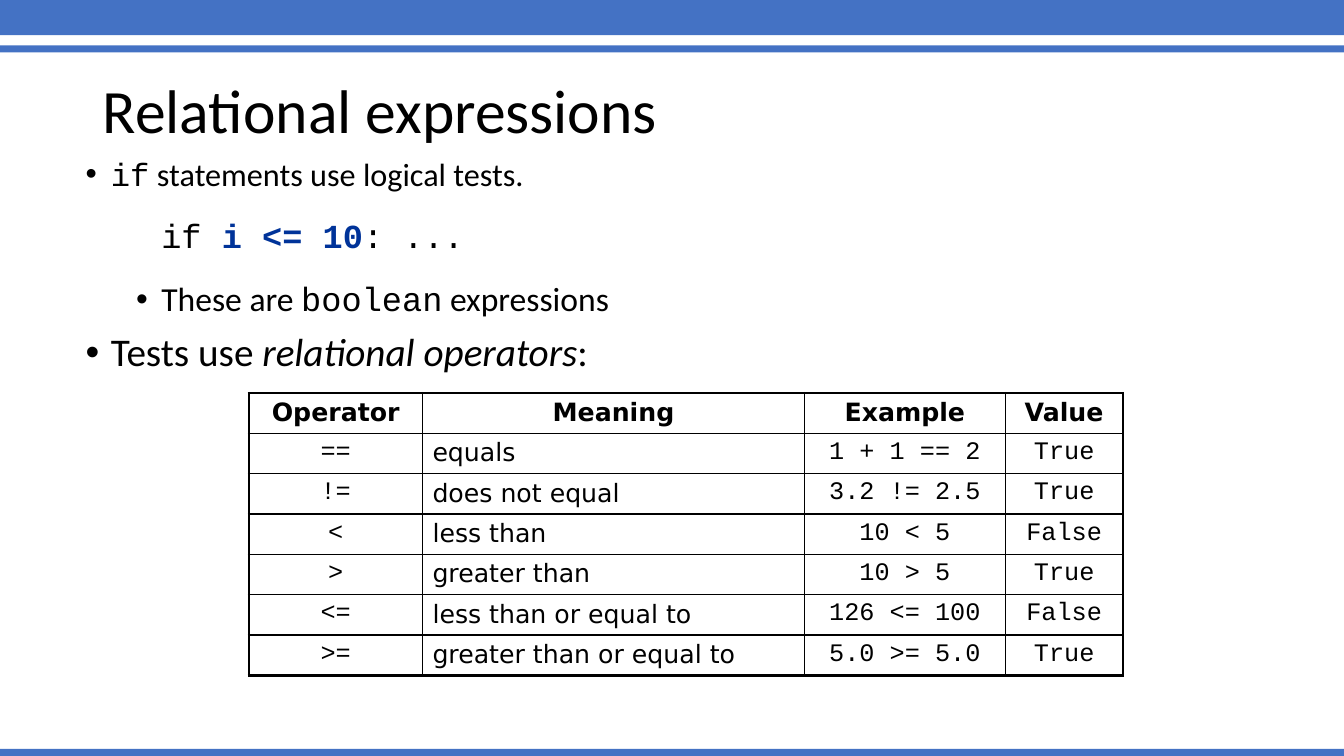
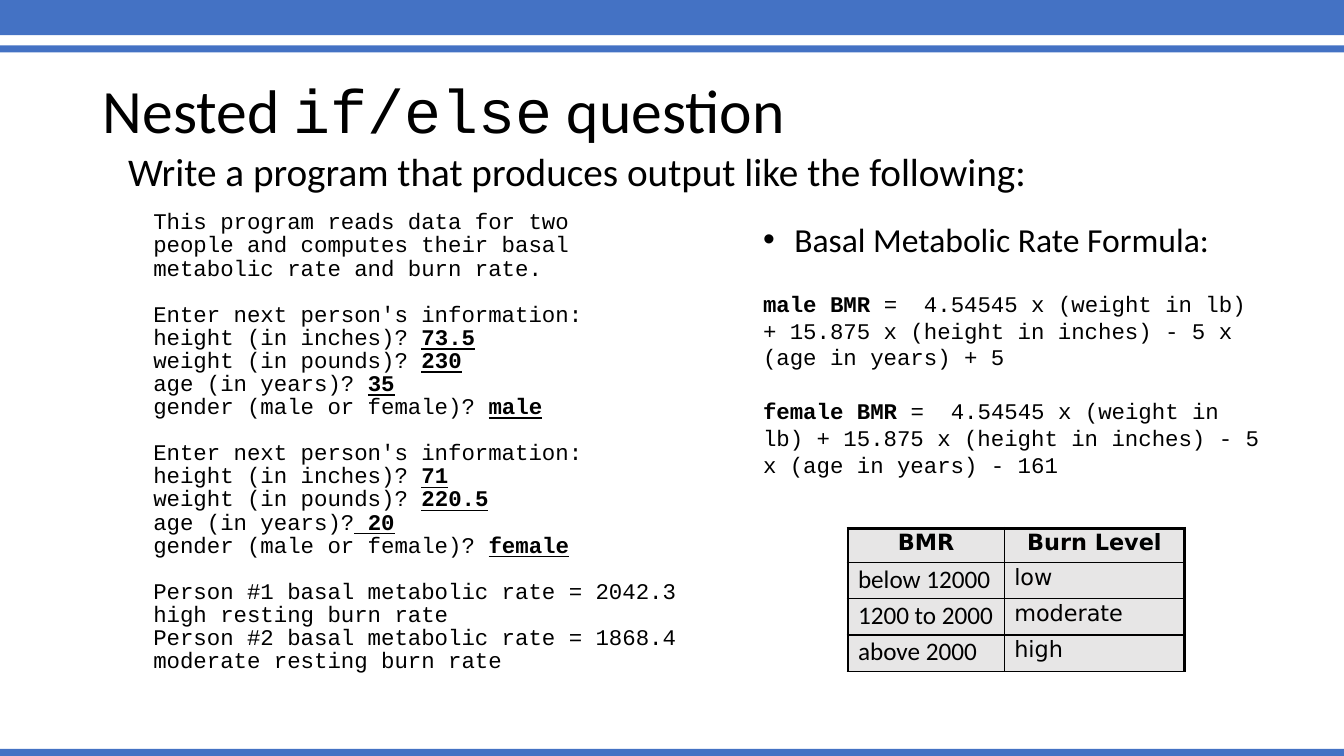
from dataclasses import dataclass

from lxml import etree
from pptx import Presentation
from pptx.dml.color import RGBColor
from pptx.enum.shapes import MSO_SHAPE
from pptx.enum.text import MSO_ANCHOR, MSO_AUTO_SIZE, PP_ALIGN
from pptx.oxml.ns import qn
from pptx.util import Emu, Inches, Pt

RECTANGLE = MSO_SHAPE.RECTANGLE
LEFT, CENTER = PP_ALIGN.LEFT, PP_ALIGN.CENTER
TOP, MIDDLE = MSO_ANCHOR.TOP, MSO_ANCHOR.MIDDLE
NO_AUTOFIT = MSO_AUTO_SIZE.NONE


@dataclass(frozen=True)
class Theme:
    band: str = "4472C4"
    ink: str = "000000"
    accent: str = "003399"
    shade: str = "E7E6E6"
    text: str = "Calibri"
    mono: str = "Courier New"
    grid: str = "DejaVu Sans"
    title: int = 44
    lead: int = 28
    body: int = 24
    intro: int = 23
    cell: int = 18
    code: int = 16
    thick: float = 2.25
    thin: float = 1


THEME = Theme()

# Content: a span is (text, flags); m mono, b bold, i italic, u underlined, a accent
TITLES = [
    [("Relational expressions", "")],
    [("Nested ", ""), ("if/else", "m"), (" question", "")],
]
TESTS_INTRO = [("if", "m"), (" statements use logical tests.", "")]
TESTS_CODE = [("if ", "m"), ("i <= 10", "mba"), (": ...", "m")]
TESTS_NOTE = [("These are ", ""), ("boolean", "m"), (" expressions", "")]
TESTS_LEAD = [("Tests use ", ""), ("relational operators", "i"), (":", "")]

OPERATORS = [
    ("Operator", "Meaning", "Example", "Value"),
    ("==", "equals", "1 + 1 == 2", "True"),
    ("!=", "does not equal", "3.2 != 2.5", "True"),
    ("<", "less than", "10 < 5", "False"),
    (">", "greater than", "10 > 5", "True"),
    ("<=", "less than or equal to", "126 <= 100", "False"),
    (">=", "greater than or equal to", "5.0 >= 5.0", "True"),
]

TASK = "Write a program that produces output like the following:"
PROMPTS = ("height (in inches)? ", "weight (in pounds)? ", "age (in years)? ",
           "gender (male or female)? ")
PERSON = "Enter next person's information:"
# Each block of program output holds (printed text, typed answer) lines
OUTPUT = [
    [("This program reads data for two", ""),
     ("people and computes their basal", ""),
     ("metabolic rate and burn rate.", "")],
    [(PERSON, ""), *zip(PROMPTS, ("73.5", "230", "35", "male"))],
    [(PERSON, ""), *zip(PROMPTS[:2], ("71", "220.5")),
     ("age (in years)?", " 20"), (PROMPTS[3], "female")],
    [("Person #1 basal metabolic rate = 2042.3", ""),
     ("high resting burn rate", ""),
     ("Person #2 basal metabolic rate = 1868.4", ""),
     ("moderate resting burn rate", "")],
]

FORMULA_HEAD = "Basal Metabolic Rate Formula:"
FORMULA = ("= \u00a04.54545 x (weight in lb) + 15.875 x (height in inches)"
           " - 5 x (age in years) ")
FORMULAS = [
    [("male BMR ", "mb"), (FORMULA + "+ 5", "m")],
    [("female BMR", "mb"), (" " + FORMULA + "- 161", "m")],
]
BURN_LEVELS = [
    ("BMR", "Burn Level"),
    ("below 12000", "low"),
    ("1200 to 2000", "moderate"),
    ("above 2000", "high"),
]

# Column styles: width, font, size, alignment
OPERATOR_COLUMNS = [
    (1.72, THEME.mono, THEME.cell, CENTER),
    (3.79, THEME.grid, THEME.cell, LEFT),
    (1.99, THEME.mono, THEME.cell, CENTER),
    (1.17, THEME.mono, THEME.cell, CENTER),
]
BURN_COLUMNS = [
    (1.55, THEME.text, THEME.cell, LEFT),
    (1.79, THEME.grid, THEME.code, LEFT),
]

# Shared geometry
WIDTH, HEIGHT = 13.33, 7.5
BANDS = [(0, 0.35), (0.45, 0.07), (HEIGHT - 0.07, 0.07)]
TITLE_BOX = (0.92, 0.4, 11.5, 1.45)


def place(shape, box):
    shape.left, shape.top, shape.width, shape.height = map(Inches, box)


def style(span, font, size, color=THEME.ink):
    span.font.name = font
    span.font.size = Pt(size)
    span.font.color.rgb = RGBColor.from_string(color)


def fill_para(para, spans, size, before=0, spacing=1.0, margin=0, bullet=0):
    """Write spans; bullet is the hanging width, 0 for none."""
    para.alignment = LEFT
    para.line_spacing = spacing
    para.space_before = Pt(before)
    for text, flags in spans:
        span = para.add_run()
        span.text = text
        style(span, THEME.mono if "m" in flags else THEME.text, size,
              THEME.accent if "a" in flags else THEME.ink)
        span.font.bold = "b" in flags
        span.font.italic = "i" in flags
        span.font.underline = "u" in flags
    props = para._p.get_or_add_pPr()
    props.set("marL", str(Inches(margin)))
    props.set("indent", str(-Inches(bullet)))
    if bullet:
        font = etree.SubElement(props, qn("a:buFont"))
        font.set("typeface", "Arial")
        etree.SubElement(props, qn("a:buChar")).set("char", "\u2022")
    else:
        etree.SubElement(props, qn("a:buNone"))


def fill_frame(frame, rows, anchor=TOP):
    frame.word_wrap = True
    frame.auto_size = NO_AUTOFIT
    frame.vertical_anchor = anchor
    for index, row in enumerate(rows):
        para = frame.add_paragraph() if index else frame.paragraphs[0]
        fill_para(para, **row)


def set_border(cell, side, width):
    line = etree.SubElement(cell._tc.get_or_add_tcPr(), qn("a:ln" + side))
    line.set("w", str(Pt(width)))
    solid = etree.SubElement(line, qn("a:solidFill"))
    etree.SubElement(solid, qn("a:srgbClr")).set("val", THEME.ink)


def add_grid(page, left, top, content, columns, heights, head_size,
             bottom=THEME.thick, shade=None, spacing=1.0):
    last_row, last_column = len(content) - 1, len(columns) - 1
    width = sum(column[0] for column in columns)
    table = page.shapes.add_table(
        len(content), len(columns), Inches(left), Inches(top),
        Inches(width), Inches(sum(heights))).table
    table.first_row = table.horz_banding = False
    for column, (size, *_) in zip(table.columns, columns):
        column.width = Inches(size)
    for r, values in enumerate(content):
        table.rows[r].height = Inches(heights[r])
        for c, value in enumerate(values):
            cell = table.cell(r, c)
            _, font, size, alignment = columns[c]
            if r == 0:
                font, size, alignment = THEME.grid, head_size, CENTER
            cell.text_frame.text = value
            para = cell.text_frame.paragraphs[0]
            para.alignment = alignment
            para.line_spacing = spacing
            style(para.runs[0], font, size)
            para.runs[0].font.bold = r == 0
            # Thick frame, thin inner lines
            set_border(cell, "L", THEME.thin if c else THEME.thick)
            set_border(cell, "R", THEME.thick if c == last_column else THEME.thin)
            set_border(cell, "T", THEME.thin if r else THEME.thick)
            set_border(cell, "B", bottom if r == last_row else THEME.thin)
            if shade:
                cell.fill.solid()
                cell.fill.fore_color.rgb = RGBColor.from_string(shade)
            else:
                cell.fill.background()


def add_bands(deck, page):
    """Draw the bands and move them to the back of the master."""
    tree = deck.slide_master.element.cSld.spTree
    for index, (top, height) in enumerate(BANDS):
        band = page.shapes.add_shape(
            RECTANGLE, 0, Inches(top), deck.slide_width, Inches(height))
        band.shadow.inherit = False
        band.fill.solid()
        band.fill.fore_color.rgb = RGBColor.from_string(THEME.band)
        band.line.fill.background()
        tree.insert(2 + index, band.element)


def add_page(deck, title, body_box, rows):
    page = deck.slides.add_slide(deck.slide_layouts[1])
    fill_frame(page.shapes.title.text_frame,
               [dict(spans=title, size=THEME.title, spacing=0.9)], MIDDLE)
    body = page.placeholders[1]
    place(body, body_box)
    fill_frame(body.text_frame, rows)
    return page


# Deck
deck = Presentation()
deck.slide_width, deck.slide_height = Emu(Inches(WIDTH)), Emu(Inches(HEIGHT))
place(deck.slide_layouts[1].placeholders[0], TITLE_BOX)

# Relational expressions
top_level = dict(spacing=0.9, before=10, margin=0.25, bullet=0.25)
sub_level = dict(spacing=0.9, before=19, margin=0.75, size=THEME.body)
relational = add_page(deck, TITLES[0], (0.75, 1.52, 11.5, 2.3), [
    dict(spans=TESTS_INTRO, size=THEME.intro, **top_level),
    dict(spans=TESTS_CODE, **sub_level),
    dict(spans=TESTS_NOTE, bullet=0.25, **sub_level),
    dict(spans=TESTS_LEAD, size=THEME.lead, **top_level),
])
add_bands(deck, relational)
add_grid(relational, 2.47, 3.9, OPERATORS, OPERATOR_COLUMNS,
         [0.4] * len(OPERATORS), THEME.cell)

# Nested if/else question: a wider gap opens each block of output
LINE_GAP, BLOCK_GAP, FIRST_GAP = 5, 21.5, 16
task_rows = [dict(spans=[(TASK, "")], size=THEME.lead, spacing=0.9,
                  before=10, margin=0.25)]
for b, block in enumerate(OUTPUT):
    for n, (printed, typed) in enumerate(block):
        gap = LINE_GAP if n else BLOCK_GAP if b else FIRST_GAP
        spans = [(printed, "m")] + ([(typed, "mbu")] if typed else [])
        task_rows.append(dict(spans=spans, size=THEME.code, spacing=0.6,
                              before=gap, margin=0.5))
nested = add_page(deck, TITLES[1], (0.92, 1.46, 11.5, 5.9), task_rows)
add_grid(nested, 8.41, 5.24, BURN_LEVELS, BURN_COLUMNS,
         [0.34] + [0.36] * 3, THEME.code, THEME.thin, THEME.shade, 0.85)

# Formula text
formula_box = nested.shapes.add_textbox(*map(Inches, (7.47, 2.12, 5.2, 2.69)))
fill_frame(formula_box.text_frame, [
    dict(spans=[(FORMULA_HEAD, "")], size=THEME.body, margin=0.31, bullet=0.31),
    *(dict(spans=spans, size=THEME.code, before=gap)
      for spans, gap in zip(FORMULAS, (22, 19))),
])

deck.save("out.pptx")
